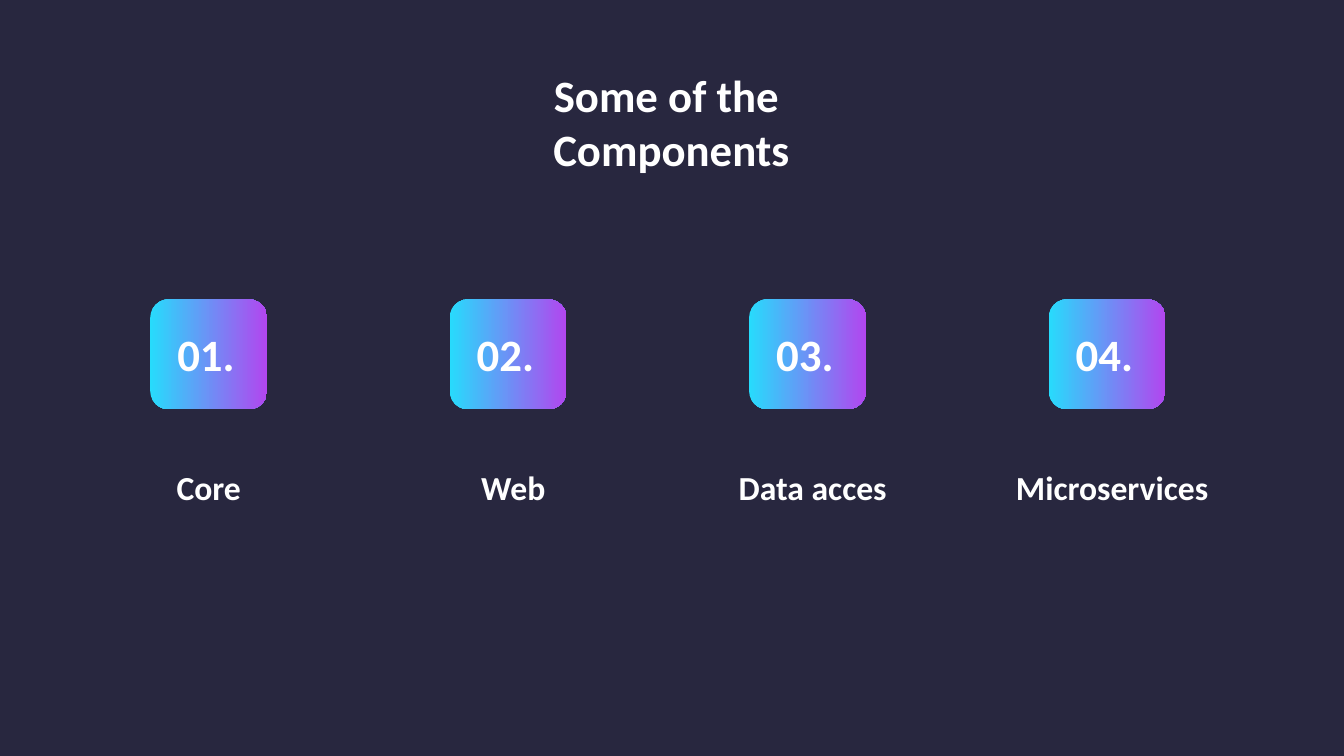
from pptx import Presentation
from pptx.dml.color import RGBColor
from pptx.enum.shapes import MSO_SHAPE as Shape
from pptx.enum.text import MSO_AUTO_SIZE as AutoSize, PP_ALIGN as Align
from pptx.util import Inches, Pt

COLORS = {"night": "28273F", "cyan": "27DBFC", "violet": "B246EF", "white": "FFFFFF"}

# Each component name with the left edge of its label
COMPONENTS = [("Core", 0.78), ("Web", 3.8), ("Data acces", 6.77), ("Microservices", 9.74)]
FIRST_BADGE_LEFT = 1.49
BADGE_PITCH = 2.97
NUMBER_INSET = 0.17


class ComponentSlide:
    font = "Calibri"

    def __init__(self, deck):
        self.page = deck.slides.add_slide(deck.slide_layouts[6])

    def shape(self, kind, bounds, parent=None):
        shapes = (parent or self.page).shapes
        shape = shapes.add_shape(kind, *map(Inches, bounds))
        shape.shadow.inherit = False
        shape.line.fill.background()
        return shape

    def backdrop(self, width, height):
        panel = self.shape(Shape.RECTANGLE, (0, 0, width, height))
        panel.fill.solid()
        panel.fill.fore_color.rgb = RGBColor.from_string(COLORS["night"])

    def badge(self, bounds, parent):
        badge = self.shape(Shape.ROUNDED_RECTANGLE, bounds, parent)
        badge.fill.gradient()
        badge.fill.gradient_angle = 0
        for stop, color in zip(badge.fill.gradient_stops, ("cyan", "violet")):
            stop.color.rgb = RGBColor.from_string(COLORS[color])

    def text(self, words, bounds, size, align=Align.CENTER, wrap=True, parent=None):
        box = (parent or self.page).shapes.add_textbox(*map(Inches, bounds))
        frame = box.text_frame
        frame.word_wrap = wrap
        frame.auto_size = AutoSize.SHAPE_TO_FIT_TEXT
        para = frame.paragraphs[0]
        para.alignment = align
        span = para.add_run()
        span.text = words
        for name, value in {"name": self.font, "size": Pt(size), "bold": True}.items():
            setattr(span.font, name, value)
        span.font.color.rgb = RGBColor.from_string(COLORS["white"])

    def component(self, index, name, label_left):
        group = self.page.shapes.add_group_shape()
        left = FIRST_BADGE_LEFT + index * BADGE_PITCH
        self.badge((left, 2.97, 1.16, 1.09), group)
        self.text(name, (label_left, 4.58, 2.58, 0.5), 24, parent=group)
        self.text(f"{index + 1:02}.", (left + NUMBER_INSET, 3.19, 0.88, 0.64), 32,
                  align=Align.LEFT, wrap=False, parent=group)


def main():
    deck = Presentation()
    deck.slide_width, deck.slide_height = Inches(13.33), Inches(7.5)
    slide = ComponentSlide(deck)
    slide.backdrop(13.33, 7.5)
    slide.text("Some of the  Components", (4.78, 0.62, 3.76, 1.18), 32)
    for index, (name, label_left) in enumerate(COMPONENTS):
        slide.component(index, name, label_left)
    deck.save("out.pptx")


if __name__ == "__main__":
    main()
